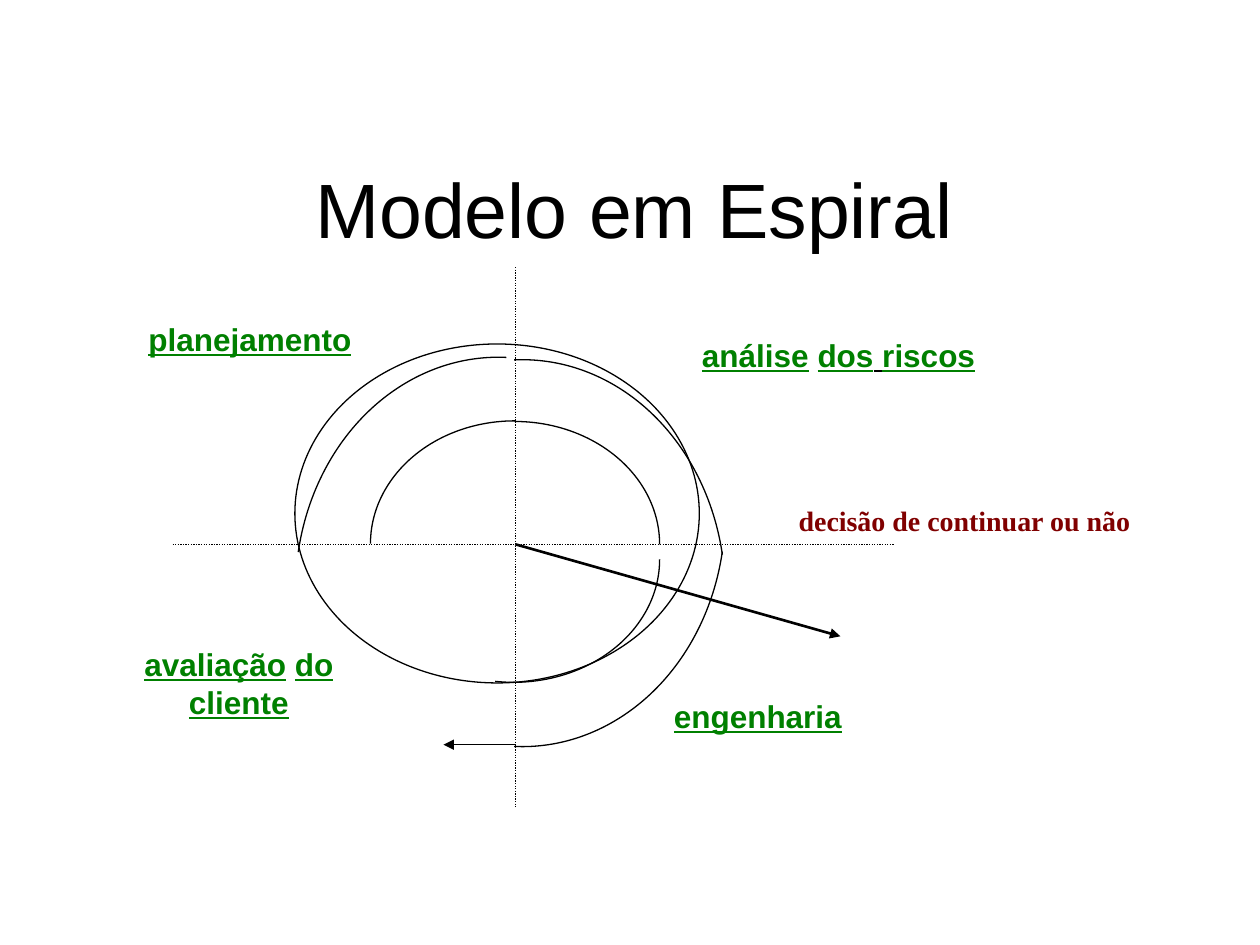
from lxml import etree
from pptx import Presentation
from pptx.dml.color import RGBColor
from pptx.enum import dml, shapes, text
from pptx.oxml.ns import qn
from pptx.util import Inches, Pt

BLACK = RGBColor(0x00, 0x00, 0x00)
GREEN = RGBColor(0x00, 0x80, 0x00)
MAROON = RGBColor(0x80, 0x00, 0x00)

CENTER_X, CENTER_Y = 4.09, 4.32

# Arcs of the spiral: box, rotation, start and end angle in degrees
ARCS = [
    ((2.94, 3.34, 2.29, 1.95), 0, 180, 270),
    ((3.11, 3.17, 1.95, 2.3), 90, 180, 270),
    ((3.1, 3.28, 1.95, 2.32), 270, 90, 188.5),
    ((2.1, 3.08, 3.71, 3.22), 270, 281, 2),
    ((2.29, 3.1, 3.71, 3.22), 90, 178, 259),
    ((2.29, 2.46, 3.71, 3.22), 270, 101, 182),
]

# Quadrant labels: box, alignment, runs with their underline
LEFT, CENTER = text.PP_ALIGN.LEFT, text.PP_ALIGN.CENTER
QUADRANTS = [
    ((0.82, 5.07, 2.15, 1.1), CENTER,
     [("avaliação", True), (" ", False), ("do", True), (" ", False), ("cliente", True)]),
    ((5.25, 5.48, 3.01, 1.1), LEFT, [("engenharia", True)]),
    ((5.15, 2.62, 3.01, 1.1), CENTER,
     [("análise", True), (" ", False), ("dos", True), (" ", True), ("riscos", True)]),
    ((1.08, 2.49, 3.01, 1.1), LEFT, [("planejamento", True)]),
]


def add_label(slide, box, runs, size, color, align=LEFT, font="Arial", bold=True,
              anchor=text.MSO_ANCHOR.TOP):
    tf = slide.shapes.add_textbox(*map(Inches, box)).text_frame
    tf.word_wrap = True
    tf.vertical_anchor = anchor
    p = tf.paragraphs[0]
    p.alignment = align
    p.font.name, p.font.size, p.font.bold = font, Pt(size), bold
    for words, underlined in runs:
        r = p.add_run()
        r.text = words
        r.font.underline = underlined
        r.font.color.rgb = BLACK if words.isspace() else color


def add_curve(slide, kind, box):
    sp = slide.shapes.add_shape(kind, *map(Inches, box))
    sp.shadow.inherit = False
    sp.fill.background()
    sp.line.color.rgb = BLACK
    sp.line.width = Pt(0.75)
    return sp


def add_arc(slide, box, rotation, start, end):
    sp = add_curve(slide, shapes.MSO_SHAPE.ARC, box)
    sp.rotation = rotation
    # Angles are stored in 60000ths of a degree, adjustments in 100000ths
    for i, angle in enumerate((start, end)):
        sp.adjustments[i] = angle * 0.6


def add_line(slide, start, end, width=0.75, arrow=False, dash=None):
    line = slide.shapes.add_connector(
        shapes.MSO_CONNECTOR.STRAIGHT, *map(Inches, start + end))
    line.line.color.rgb = BLACK
    line.line.width = Pt(width)
    if dash:
        line.line.dash_style = dash
    if arrow:
        etree.SubElement(line.line._get_or_add_ln(), qn("a:tailEnd"), type="triangle")
    etree.SubElement(line._element.spPr, qn("a:effectLst"))


def main():
    prs = Presentation()
    prs.slide_width, prs.slide_height = Inches(10), Inches(7.5)
    slide = prs.slides.add_slide(prs.slide_layouts[6])

    # Title
    add_label(slide, (0.27, 1.02, 9.53, 1.25), [("Modelo em Espiral", False)], 44, BLACK,
              CENTER, bold=False, anchor=text.MSO_ANCHOR.MIDDLE)

    # Labels
    add_label(slide, (6.24, 3.95, 4.16, 0.61), [("decisão de continuar ou não", False)],
              16, MAROON, font="Times New Roman")
    for box, align, runs in QUADRANTS:
        add_label(slide, box, runs, 18, GREEN, align)

    # Spiral
    add_curve(slide, shapes.MSO_SHAPE.OVAL, (2.34, 2.73, 3.21, 2.69))
    for arc in ARCS:
        add_arc(slide, *arc)

    # Axes
    dots = dml.MSO_LINE.ROUND_DOT
    add_line(slide, (CENTER_X, 2.12), (CENTER_X, 6.4), dash=dots)
    add_line(slide, (1.37, CENTER_Y), (7.1, CENTER_Y), dash=dots)

    # Arrows
    add_line(slide, (CENTER_X, 5.91), (3.52, 5.91), arrow=True)
    add_line(slide, (CENTER_X, CENTER_Y), (6.67, 5.05), width=1.5, arrow=True)

    prs.save("out.pptx")


if __name__ == "__main__":
    main()
